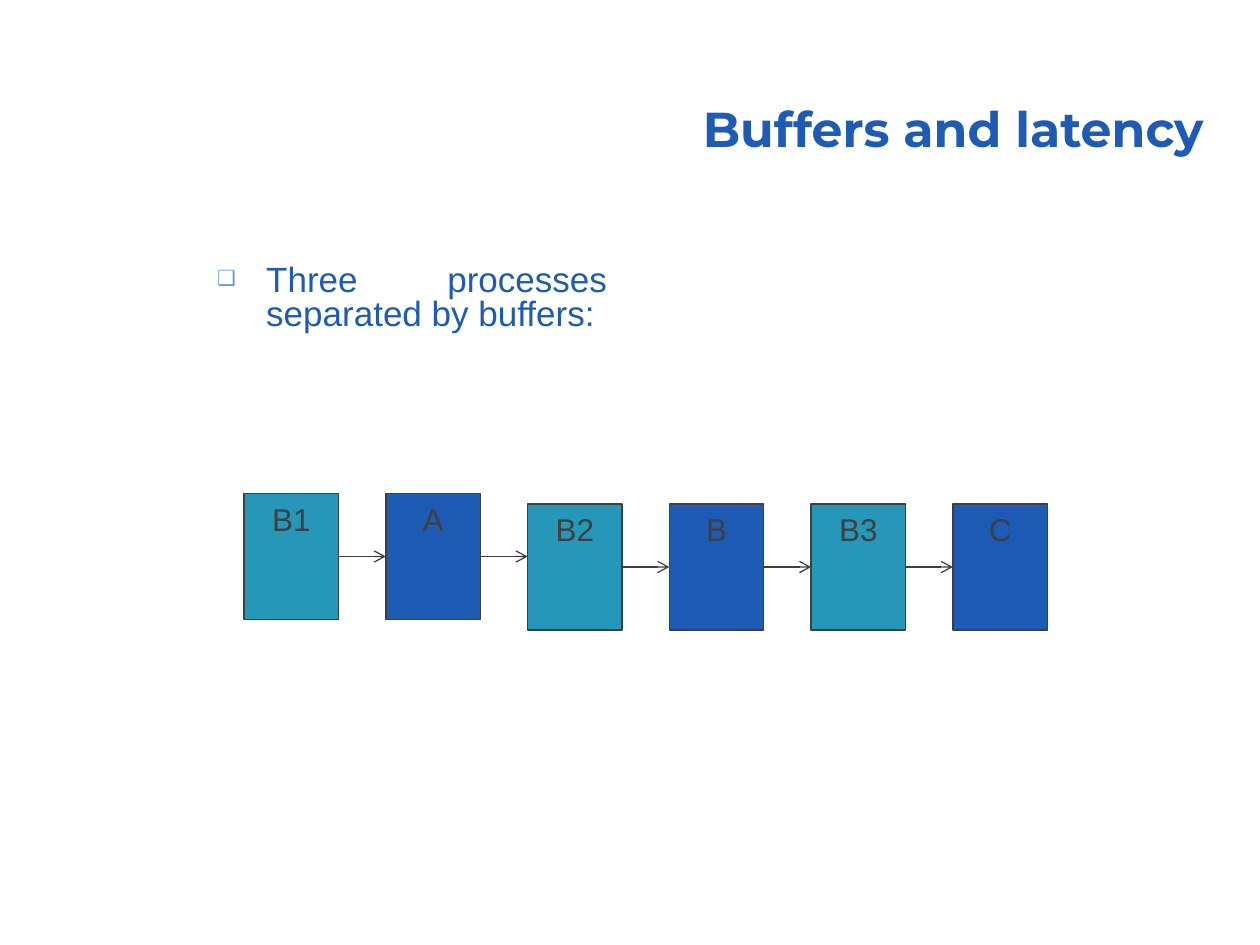
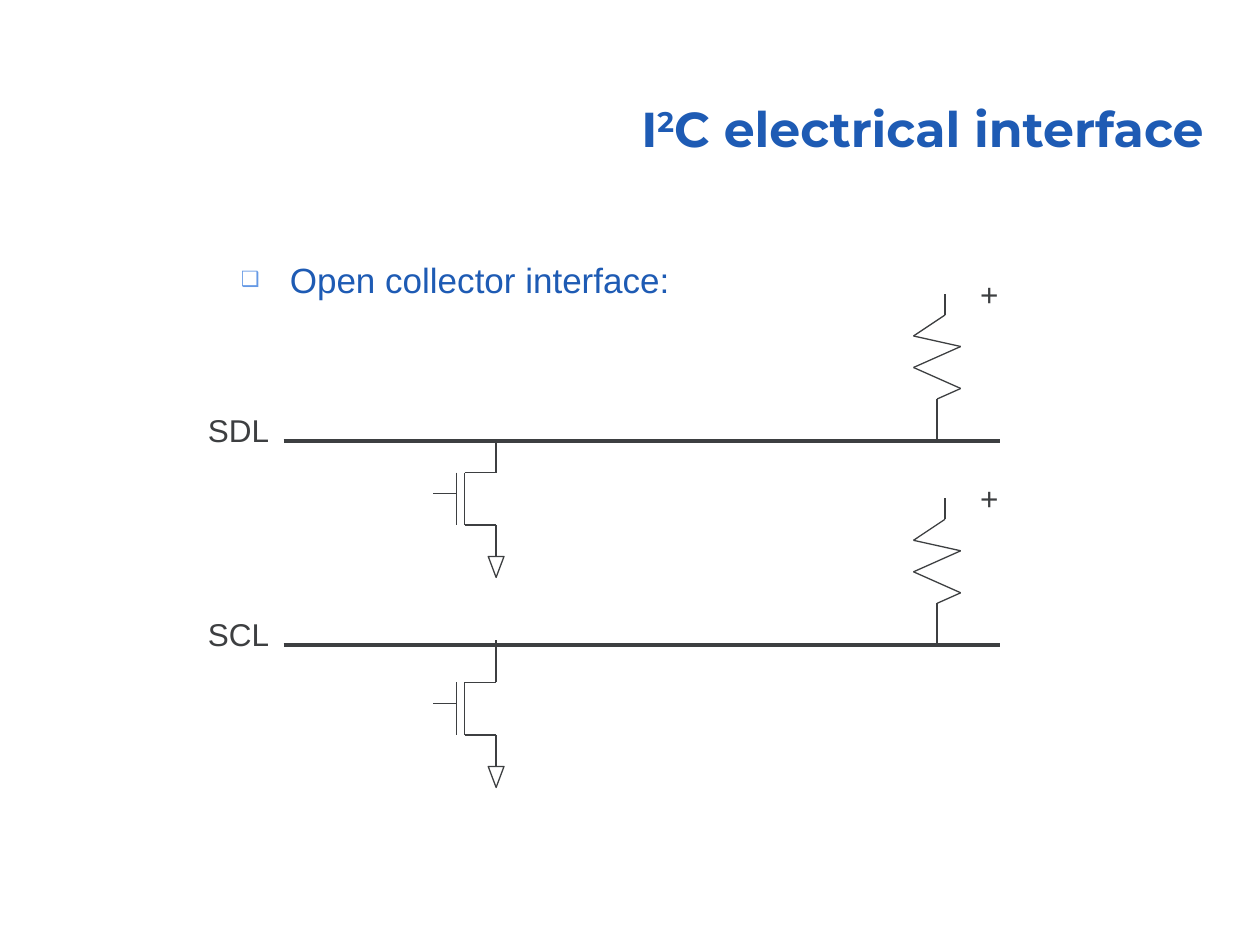
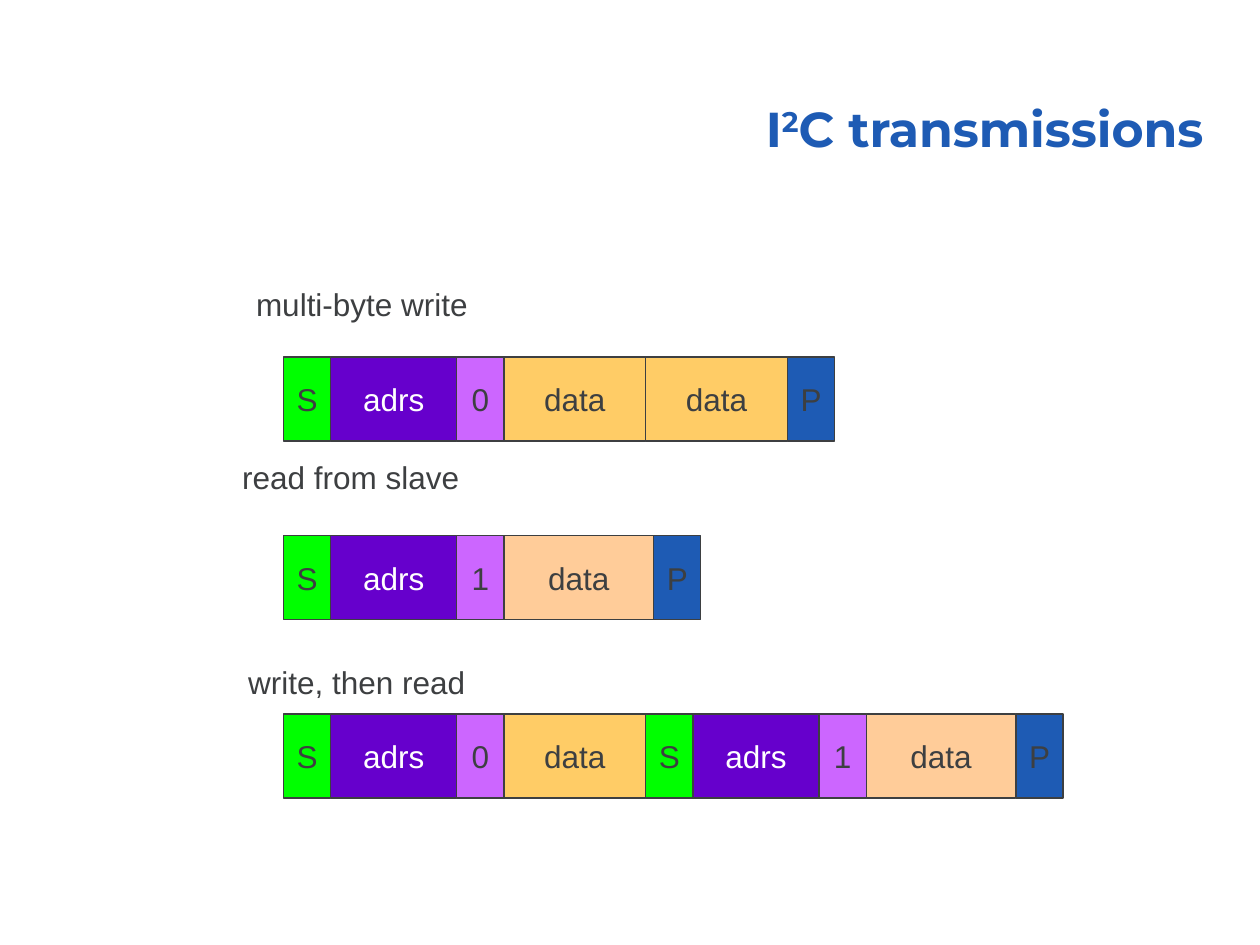
"""Build three slides on buffers and the I²C bus."""
from dataclasses import dataclass
from itertools import pairwise

from lxml.etree import SubElement as Sub
from pptx import Presentation
from pptx.dml.color import RGBColor as Rgb
from pptx.enum.shapes import MSO_CONNECTOR as Conn, MSO_SHAPE as Form
from pptx.enum.text import MSO_ANCHOR as Anchor, MSO_AUTO_SIZE as Auto, PP_ALIGN as Align
from pptx.oxml.ns import qn
from pptx.util import Pt


@dataclass(frozen=True)
class Theme:
    blue: str = "1E5BB4"
    teal: str = "2797B9"
    ink: str = "3D3F41"
    mark: str = "6599E5"
    white: str = "FFFFFF"
    green: str = "00FF00"
    grape: str = "6600CC"
    lilac: str = "CC66FF"
    gold: str = "FFCC66"
    peach: str = "FFCC99"
    head: str = "Montserrat"
    face: str = "Arial"
    big: float = 28
    mid: float = 20
    small: float = 18
    thin: float = 0.75
    thick: float = 2.25


T = Theme()

HEAD = (211.75, 38.25, 483, 55.5)
HEADS = {
    "chain": [("Buffers and latency", 0)],
    "bus": [("I", 0), ("2", 30), ("C electrical interface", 0)],
    "frames": [("I", 0), ("2", 30), ("C transmissions", 0)],
}

CHAIN = [("B1", T.teal, 282), ("A", T.blue, 282), ("B2", T.teal, 288),
         ("B", T.blue, 288), ("B3", T.teal, 288), ("C", T.blue, 288)]
CHAIN_X, STEP, BOX_W, BOX_H = 139.5, 81, 54, 72

WIRES = [("SDL", 252, 252), ("SCL", 368.75, 372)]
WIRE_X = (162, 571.5)
COIL = [(535.5, 0), (535.5, -24), (549, -30), (522, -42),
        (549, -54), (522, -60), (540, -72), (540, -84)]
GATE = [
    [(283.5, 0), (283.5, 18), (265.5, 18), (265.5, 48), (283.5, 48), (283.5, 66)],
    [(261, 18), (261, 48)],
    [(261, 30), (247.5, 30)],
]
TIP = (279, 66, 9, 12)
STUB = [(283.5, 384), (283.5, 366)]

CELLS = {
    "S": ("S", 27, T.green, T.ink),
    "A": ("adrs", 72, T.grape, T.white),
    "0": ("0", 27, T.lilac, T.ink),
    "1": ("1", 27, T.lilac, T.ink),
    "W": ("data", 81, T.gold, T.ink),
    "R": ("data", 85.5, T.peach, T.ink),
    "P": ("P", 27, T.blue, T.ink),
}
FRAMES = [
    ("multi-byte write", (139.25, 159.5, 140, 29), "SA0WWP"),
    ("read from slave", (131.25, 258, 140, 29), "SA1RP"),
    ("write, then read", (134.75, 375.5, 140, 29), "SA0WSA1RP"),
]
ROW_X, ROW_Y, ROW_GAP, ROW_H = 162, 204, 102, 48


def put(obj, **vals):
    for key, val in vals.items():
        setattr(obj, key, val)


def pts(*vals):
    return [Pt(val) for val in vals]


def write(shape, runs, size=T.small, tint=T.ink, face=T.face, bold=False,
          frame=None, para=None):
    put(shape.text_frame, **{"word_wrap": True, **(frame or {})})
    line = shape.text_frame.paragraphs[0]
    put(line, **(para or {}))
    for text, base in runs:
        run = line.add_run()
        run.text = text
        put(run.font, size=Pt(size), name=face, bold=bold)
        run.font.color.rgb = Rgb.from_string(tint)
        if base:
            run.font._element.set("baseline", str(base * 1000))
    return line


def label(slide, text, box):
    shape = slide.shapes.add_textbox(*pts(*box))
    write(shape, [(text, 0)],
          frame={"word_wrap": False, "auto_size": Auto.SHAPE_TO_FIT_TEXT})


def point(slide, text, box, lead):
    shape = slide.shapes.add_textbox(*pts(*box))
    line = write(shape, [(text, 0)], T.mid, T.blue,
                 para={"alignment": Align.JUSTIFY, "line_spacing": lead})
    props = line._p.get_or_add_pPr()
    for key, val in {"marL": Pt(28), "indent": -Pt(28)}.items():
        props.set(key, str(val))
    Sub(Sub(props, qn("a:buClr")), qn("a:srgbClr"), val=T.mark)
    Sub(props, qn("a:buSzPct"), val="60000")
    Sub(props, qn("a:buFont"), typeface=T.face)
    Sub(props, qn("a:buChar"), char="❑")


def block(shapes, box, fill, form=Form.RECTANGLE):
    shape = shapes.add_shape(form, *pts(*box))
    shape.shadow.inherit = False
    shape.fill.solid()
    shape.fill.fore_color.rgb = Rgb.from_string(fill)
    shape.line.color.rgb = Rgb.from_string(T.ink)
    shape.line.width = Pt(T.thin)
    return shape


def trace(shapes, dots, width=T.thin, arrow=False):
    for start, end in pairwise(dots):
        wire = shapes.add_connector(Conn.STRAIGHT, *pts(*start, *end))
        wire.line.color.rgb = Rgb.from_string(T.ink)
        wire.line.width = Pt(width)
        props = wire._element.spPr
        if arrow:
            Sub(props.find(qn("a:ln")), qn("a:tailEnd"), type="arrow")
        Sub(props, qn("a:effectLst"))


def shift(dots, drop):
    return [(x, y + drop) for x, y in dots]


def start(deck, key):
    slide = deck.slides.add_slide(deck.slide_layouts[6])
    shape = slide.shapes.add_textbox(*pts(*HEAD))
    write(shape, HEADS[key], T.big, T.blue, T.head, True,
          {"vertical_anchor": Anchor.BOTTOM},
          {"alignment": Align.RIGHT, "line_spacing": 0.9})
    return slide


def chain(deck):
    slide = start(deck, "chain")
    point(slide, "Three processes separated by buffers:", (117, 148.5, 237, 67.5), 0.8)
    for i, (name, fill, top) in enumerate(CHAIN):
        left = CHAIN_X + i * STEP
        shape = block(slide.shapes, (left, top, BOX_W, BOX_H), fill)
        write(shape, [(name, 0)], frame={"vertical_anchor": Anchor.TOP},
              para={"alignment": Align.CENTER})
        if i < len(CHAIN) - 1:
            mid = top + BOX_H / 2
            trace(slide.shapes, [(left + BOX_W, mid), (left + STEP, mid)], arrow=True)


def bus(deck):
    slide = start(deck, "bus")
    point(slide, "Open collector interface:", (130.5, 144, 483, 328.5), 1.0)
    for name, y, drop in WIRES:
        trace(slide.shapes, [(x, y) for x in WIRE_X], T.thick)
        label(slide, name, (111.75, y - 20.75, 52, 29))
        trace(slide.shapes, shift(COIL, y))
        label(slide, "+", (553, y - 98.5, 25, 29))
        group = slide.shapes.add_group_shape().shapes
        for dots in GATE:
            trace(group, shift(dots, drop))
        left, top, wide, high = TIP
        tip = block(group, (left, top + drop, wide, high), T.white, Form.ISOSCELES_TRIANGLE)
        tip._element.spPr.get_or_add_xfrm().set("flipV", "1")
    trace(slide.shapes, STUB)


def frames(deck):
    slide = start(deck, "frames")
    for i, (name, box, code) in enumerate(FRAMES):
        label(slide, name, box)
        left, top = ROW_X, ROW_Y + i * ROW_GAP
        for key in code:
            text, wide, fill, tint = CELLS[key]
            shape = block(slide.shapes, (left, top, wide, ROW_H), fill)
            write(shape, [(text, 0)], tint=tint,
                  frame={"word_wrap": False, "vertical_anchor": Anchor.MIDDLE},
                  para={"alignment": Align.CENTER})
            left += wide


def main():
    deck = Presentation()
    put(deck, slide_width=Pt(720), slide_height=Pt(540))
    for build in (chain, bus, frames):
        build(deck)
    deck.save("out.pptx")


if __name__ == "__main__":
    main()
